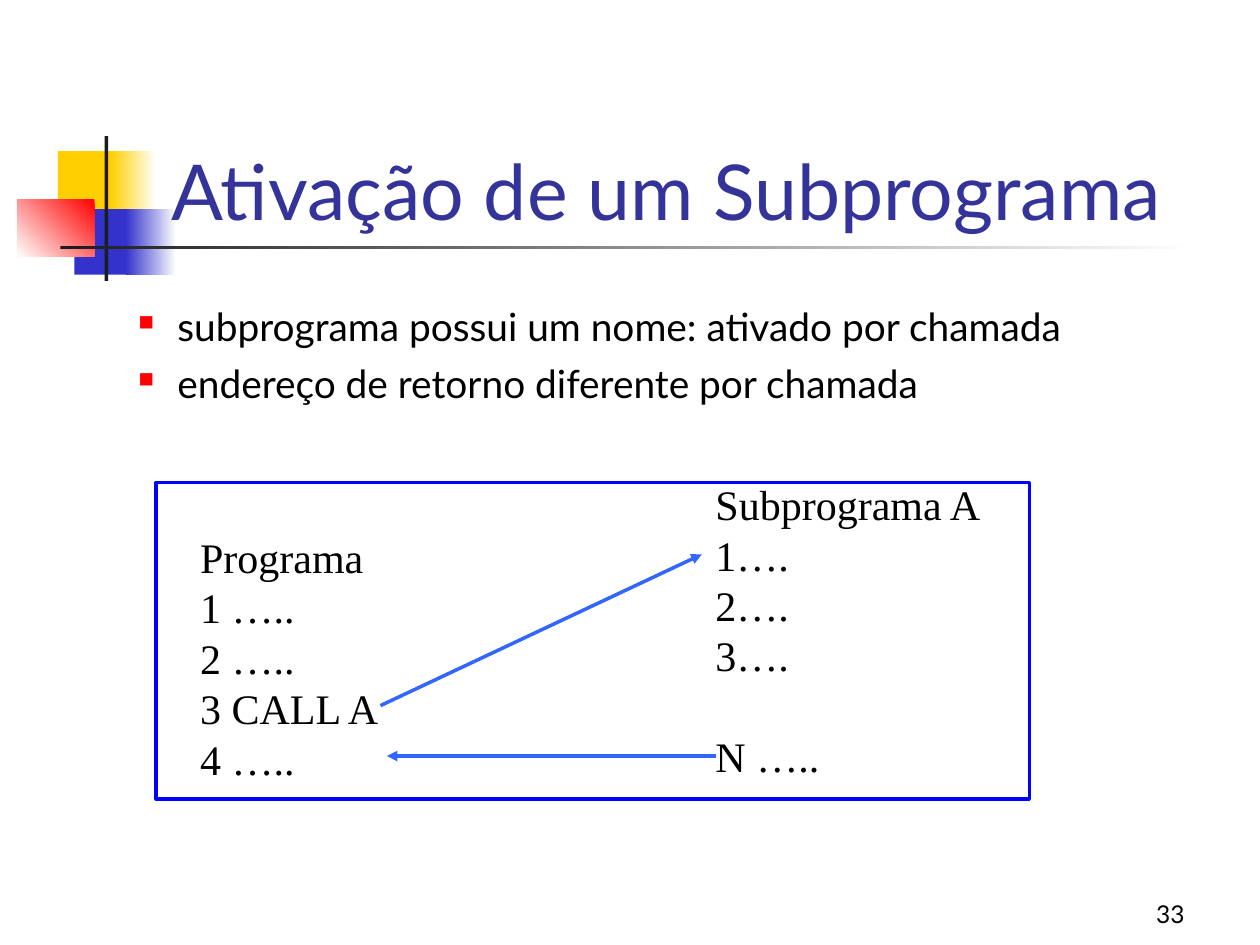
from pptx import Presentation
from pptx.dml.color import RGBColor
from pptx.enum.shapes import MSO_CONNECTOR, MSO_SHAPE
from pptx.enum.text import MSO_ANCHOR, PP_ALIGN
from pptx.oxml.ns import qn
from pptx.util import Inches, Pt
from lxml import etree

RECT = MSO_SHAPE.RECTANGLE
LINE = MSO_CONNECTOR.STRAIGHT
TOP, BOTTOM = MSO_ANCHOR.TOP, MSO_ANCHOR.BOTTOM
LEFT, RIGHT = PP_ALIGN.LEFT, PP_ALIGN.RIGHT

HEX = {
    "yellow": "FFCF01", "blue": "3333CC", "red": "FF0000", "dark": "1C1C1C",
    "white": "FFFFFF", "title": "333399", "text": "000000",
    "arrow": "3366FF", "frame": "0000FF",
}
SANS, SERIF = "Lato", "Times New Roman"


def color(name):
    return RGBColor.from_string(HEX[name])


def add_rect(slide, box):
    shape = slide.shapes.add_shape(RECT, *map(Inches, box))
    shape.shadow.inherit = False
    return shape


def add_block(slide, box, fill, end=None, angle=0):
    """Borderless block, solid or fading from fill to end."""
    block = add_rect(slide, box)
    block.line.fill.background()
    if end is None:
        block.fill.solid()
        block.fill.fore_color.rgb = color(fill)
        return
    block.fill.gradient()
    block.fill.gradient_angle = angle
    for stop, name in zip(block.fill.gradient_stops, (fill, end)):
        stop.color.rgb = color(name)


def add_text(slide, box, lines, font, size, ink="text", anchor=TOP,
             wrap=True, **form):
    frame = slide.shapes.add_textbox(*map(Inches, box)).text_frame
    frame.word_wrap = wrap
    frame.vertical_anchor = anchor
    for i, line in enumerate(lines):
        para = frame.paragraphs[0] if i == 0 else frame.add_paragraph()
        for key, value in form.items():
            setattr(para, key, value)
        run = para.add_run()
        run.text = line
        for key, value in {"name": font, "size": Pt(size)}.items():
            setattr(run.font, key, value)
        run.font.color.rgb = color(ink)
    return frame.paragraphs


def add_bullet(para, left, hang):
    props = para._p.get_or_add_pPr()
    props.set("marL", str(Inches(left)))
    props.set("indent", str(-Inches(hang)))
    tint = etree.SubElement(props, qn("a:buClr"))
    etree.SubElement(tint, qn("a:srgbClr"), val=HEX["red"])
    etree.SubElement(props, qn("a:buSzPct"), val="55000")
    etree.SubElement(props, qn("a:buChar"), char="■")


def add_arrow(slide, start, end):
    arrow = slide.shapes.add_connector(LINE, *map(Inches, start + end))
    arrow.line.color.rgb = color("arrow")
    arrow.line.width = Pt(2)
    etree.SubElement(arrow.line._get_or_add_ln(), qn("a:tailEnd"),
                     type="triangle")
    etree.SubElement(arrow._element.spPr, qn("a:effectLst"))


def draw_motif(slide, x, y):
    """Coloured squares and crossing bars."""
    add_block(slide, (x + 0.32, y + 0.12, 0.48, 0.52), "yellow")
    add_block(slide, (x + 0.74, y + 0.12, 0.36, 0.52), "yellow", "white")
    add_block(slide, (x + 0.45, y + 0.58, 0.46, 0.52), "blue")
    add_block(slide, (x + 0.86, y + 0.58, 0.4, 0.52), "blue", "white")
    add_block(slide, (x, y + 0.5, 0.61, 0.46), "red", "white", 225)
    add_block(slide, (x + 0.69, y, 0.03, 1.15), "dark")
    add_block(slide, (x + 0.34, y + 0.87, 9, 0.03), "dark", "white")


def draw_flow(slide, x, y, wide, high):
    """Call and return between the two listings."""
    caller = ["Programa", "1 …..", "2 …..", "3 CALL A", "4 ….."]
    callee = ["Subprograma A", "1….", "2….", "3….", "N ….."]
    pitch = Pt(28.8)
    form = {"wrap": False, "line_spacing": pitch}
    add_text(slide, (x + 0.25, y + 0.34, 1.64, 2.1), caller, SERIF, 24, **form)
    paras = add_text(slide, (x + 4.34, y - 0.08, 2.32, 2.5), callee, SERIF, 24,
                     **form)
    paras[-1].space_before = pitch
    add_arrow(slide, (x + 1.78, y + 1.77), (x + 4.33, y + 0.57))
    add_arrow(slide, (x + 4.44, y + 2.17), (x + 1.83, y + 2.17))
    frame = add_rect(slide, (x, y, wide, high))
    frame.fill.background()
    frame.line.color.rgb = color("frame")
    frame.line.width = Pt(2)


def draw_points(slide, box):
    points = ["subprograma possui um nome: ativado por chamada",
              "endereço de retorno diferente por chamada"]
    for para in add_text(slide, box, points, SANS, 22.2, space_after=Pt(6)):
        add_bullet(para, 0.81, 0.31)


def main():
    deck = Presentation()
    deck.slide_width, deck.slide_height = Inches(10), Inches(7.5)
    slide = deck.slides.add_slide(deck.slide_layouts[6])
    draw_motif(slide, 0.14, 1.08)
    draw_flow(slide, 1.24, 3.83, 6.93, 2.51)
    add_text(slide, (1.26, 0.67, 8.52, 1.25), ["Ativação de um Subprograma"],
             SANS, 44, "title", BOTTOM, alignment=LEFT)
    draw_points(slide, (0.5, 2.35, 8.94, 1.25))
    add_text(slide, (7.42, 6.92, 2.08, 0.5), ["33"], SANS, 14,
             anchor=BOTTOM, alignment=RIGHT)
    deck.save("out.pptx")


if __name__ == "__main__":
    main()
